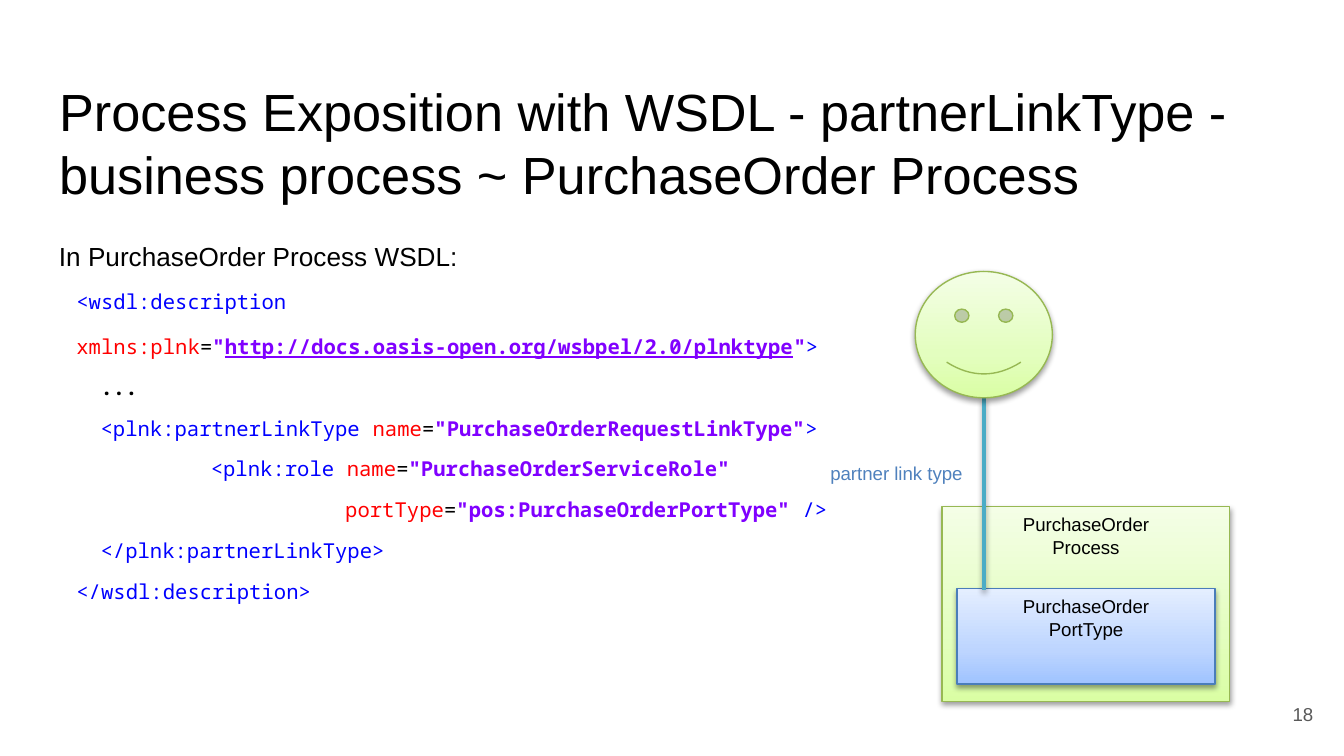
from lxml.etree import SubElement
from pptx import Presentation
from pptx.dml.color import RGBColor
from pptx.enum.shapes import MSO_CONNECTOR, MSO_SHAPE
from pptx.enum.text import MSO_ANCHOR, MSO_AUTO_SIZE, PP_ALIGN
from pptx.oxml.ns import qn
from pptx.util import Inches, Pt

BLACK = RGBColor(0x00, 0x00, 0x00)
WHITE = RGBColor(0xFF, 0xFF, 0xFF)
GRAY = RGBColor(0x59, 0x59, 0x59)
TAG_BLUE = RGBColor(0x00, 0x00, 0xFF)
ATTRIBUTE_RED = RGBColor(0xFF, 0x00, 0x00)
VALUE_PURPLE = RGBColor(0x80, 0x00, 0xFF)
LABEL_BLUE = RGBColor(0x4F, 0x81, 0xBD)
LINK_TEAL = RGBColor(0x4B, 0xAC, 0xC6)
GREEN_LINE = RGBColor(0x97, 0xB8, 0x53)
BLUE_LINE = RGBColor(0x4A, 0x7D, 0xBA)
GREEN_STOPS = [(0, "DAFEA4"), (35, "E3FEBF"), (100, "F4FEE6")]
BLUE_STOPS = [(0, "9FC3FF"), (35, "BDD5FF"), (100, "E4EEFF")]

TITLE = "Process Exposition with WSDL - partnerLinkType - business process ~ PurchaseOrder Process"

STYLES = {
    "tag": (TAG_BLUE, False, False),
    "attribute": (ATTRIBUTE_RED, False, False),
    "plain": (BLACK, False, False),
    "dots": (BLACK, True, False),
    "value": (VALUE_PURPLE, True, False),
    "link": (VALUE_PURPLE, True, True),
}

CODE_LINES = [
    (0, 0, [("<wsdl:description", "tag")]),
    (0, 12.3, [("xmlns:plnk", "attribute"), ("=", "plain"), ('"', "value"),
               ("http://docs.oasis-open.org/wsbpel/2.0/plnktype", "link"),
               ('"', "value"), (">", "tag")]),
    (0.18, 10, [("...", "dots")]),
    (0.18, 10, [("<plnk:partnerLinkType ", "tag"), ("name", "attribute"), ("=", "plain"),
                ('"PurchaseOrderRequestLinkType"', "value"), (">", "tag")]),
    (1, 10, [("<plnk:role ", "tag"), ("name", "attribute"), ("=", "plain"),
             ('"PurchaseOrderServiceRole"', "value")]),
    (2, 10, [("portType", "attribute"), ("=", "plain"),
             ('"pos:PurchaseOrderPortType"', "value"), (" />", "tag")]),
    (0.18, 10, [("</plnk:partnerLinkType>", "tag")]),
    (0, 10, [("</wsdl:description>", "tag")]),
]

TEXTS = [
    ("18", (9.27, 5.1, 0.6, 0.43), 10, GRAY, PP_ALIGN.RIGHT, MSO_ANCHOR.MIDDLE, 0.1),
    ("partner link type", (6.02, 3.39, 1.3, 0.27), 10, LABEL_BLUE, PP_ALIGN.CENTER, MSO_ANCHOR.TOP, 0.05),
    ("In PurchaseOrder Process WSDL:", (0.34, 1.69, 5.11, 0.43), 14, BLACK, PP_ALIGN.LEFT, MSO_ANCHOR.TOP, 0.1),
]

PROCESS_BOXES = [
    ("PurchaseOrder\nProcess", (7.01, 3.77, 2.14, 1.45), GREEN_STOPS, GREEN_LINE),
    ("PurchaseOrder\nPortType", (7.12, 4.38, 1.92, 0.71), BLUE_STOPS, BLUE_LINE),
]
SMILEY_BOX = (6.81, 2.02, 1.02, 0.94)


def inches(box):
    return [Inches(value) for value in box]


def set_frame(shape, anchor, vertical_margin):
    frame = shape.text_frame
    frame.word_wrap = True
    frame.auto_size = MSO_AUTO_SIZE.NONE
    frame.vertical_anchor = anchor
    frame.margin_left = frame.margin_right = Inches(0.1)
    frame.margin_top = frame.margin_bottom = Inches(vertical_margin)
    return frame


def write(shape, text, size, color, alignment, anchor, vertical_margin):
    frame = set_frame(shape, anchor, vertical_margin)
    frame.text = text
    for paragraph in frame.paragraphs:
        paragraph.alignment = alignment
        for run in paragraph.runs:
            run.font.name = "Arial"
            run.font.size = Pt(size)
            run.font.color.rgb = color


def add_shadow(shape):
    effects = SubElement(shape._element.spPr, qn("a:effectLst"))
    shadow = SubElement(effects, qn("a:outerShdw"), blurRad=str(Pt(3.1)),
                        dist=str(Pt(1.6)), dir="5400000", rotWithShape="0")
    color = SubElement(shadow, qn("a:srgbClr"), val="000000")
    SubElement(color, qn("a:alpha"), val="38000")


def add_gradient_shape(slide, kind, box, stops, line_color):
    shape = slide.shapes.add_shape(kind, *inches(box))
    shape.fill.gradient()
    shape.fill.gradient_angle = 90
    stop_list = shape._element.spPr.find(qn("a:gradFill")).find(qn("a:gsLst"))
    for old_stop in list(stop_list):
        stop_list.remove(old_stop)
    for position, value in stops:
        stop = SubElement(stop_list, qn("a:gs"), pos=str(position * 1000))
        SubElement(stop, qn("a:srgbClr"), val=value)
    shape.line.color.rgb = line_color
    shape.line.width = Pt(0.75)
    add_shadow(shape)
    return shape


def add_code(slide):
    box = slide.shapes.add_shape(MSO_SHAPE.RECTANGLE, *inches((0.47, 2.12, 5.82, 2.65)))
    box.shadow.inherit = False
    box.fill.solid()
    box.fill.fore_color.rgb = WHITE
    box.line.fill.background()
    frame = set_frame(box, MSO_ANCHOR.TOP, 0.05)
    for index, (indent, space, parts) in enumerate(CODE_LINES):
        paragraph = frame.add_paragraph() if index else frame.paragraphs[0]
        paragraph.alignment = PP_ALIGN.LEFT
        paragraph.line_spacing = 0.9
        paragraph.space_before = Pt(space)
        paragraph._p.get_or_add_pPr().set("marL", str(Inches(indent)))
        for text, style in parts:
            run = paragraph.add_run()
            run.text = text
            run.font.name = "Noto Sans Mono"
            run.font.size = Pt(11)
            run.font.color.rgb, run.font.bold, run.font.underline = STYLES[style]


presentation = Presentation()
presentation.slide_width = Inches(10)
presentation.slide_height = presentation.slide_width * 9 // 16
slide = presentation.slides.add_slide(presentation.slide_layouts[5])

title = slide.shapes.title
title.left, title.top, title.width, title.height = inches((0.34, 0.49, 9.32, 0.63))
write(title, TITLE, 28, BLACK, PP_ALIGN.LEFT, MSO_ANCHOR.TOP, 0.1)

add_code(slide)

for text, box, stops, line_color in PROCESS_BOXES:
    shape = add_gradient_shape(slide, MSO_SHAPE.RECTANGLE, box, stops, line_color)
    write(shape, text, 10, BLACK, PP_ALIGN.CENTER, MSO_ANCHOR.TOP, 0.05)

left, top, width, height = SMILEY_BOX
link_x = Inches(left + width / 2)
link = slide.shapes.add_connector(MSO_CONNECTOR.STRAIGHT, link_x, Inches(top + height), link_x, Inches(4.39))
link.line.color.rgb = LINK_TEAL
link.line.width = Pt(2)
add_shadow(link)

for text, box, *style in TEXTS:
    write(slide.shapes.add_textbox(*inches(box)), text, *style)

smiley = add_gradient_shape(slide, MSO_SHAPE.SMILEY_FACE, SMILEY_BOX, GREEN_STOPS, GREEN_LINE)
smiley.adjustments[0] = 0.047

presentation.save("out.pptx")
